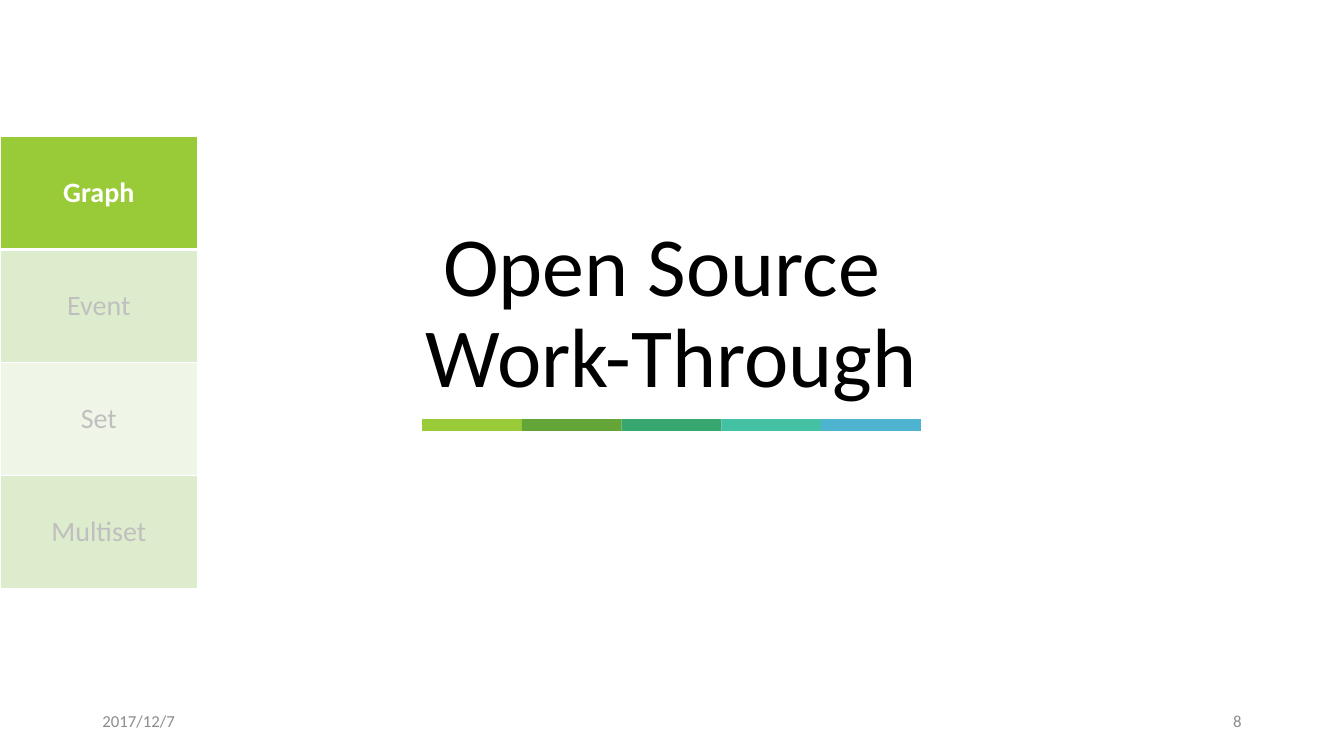
import pptx
import pptx.util
import pptx.dml.color
import pptx.enum.shapes
import pptx.enum.text
import pptx.oxml
import pptx.oxml.ns
from pptx.util import Cm

COLORS = {
    "lime": "99CB38", "green": "63A537", "emerald": "37A76F",
    "teal": "44C1A3", "blue": "4EB3CF", "pale": "DEECCE",
    "paler": "EFF6E8", "white": "FFFFFF", "black": "000000",
    "muted": "BFBFBF", "gray": "8C8C8C",
}
ALIGN = pptx.enum.text.PP_ALIGN
ANCHOR = pptx.enum.text.MSO_ANCHOR


def rgb(name):
    return pptx.dml.color.RGBColor.from_string(COLORS[name])


def style(p, size, color, align, bold=False):
    p.alignment = align
    p.font.name = "Calibri"
    p.font.size = pptx.util.Pt(size)
    p.font.bold = bold
    p.font.color.rgb = rgb(color)


def add_title(s, x, y, w, h):
    sp = s.shapes.title
    sp.left, sp.top, sp.width, sp.height = x, y, w, h
    tf = sp.text_frame
    tf.word_wrap = True
    tf.auto_size = pptx.enum.text.MSO_AUTO_SIZE.NONE
    tf.vertical_anchor = ANCHOR.BOTTOM
    tf.margin_bottom = Cm(2.45)
    tf.text = "Open Source \vWork-Through"
    p = tf.paragraphs[0]
    style(p, 60, "black", ALIGN.CENTER)
    p.line_spacing = 0.9


def add_color_bar(s, x, y, w, h):
    names = ["lime", "green", "emerald", "teal", "blue"]
    grp = s.shapes.add_group_shape()
    step = w / len(names)
    for i, name in enumerate(names):
        sp = grp.shapes.add_shape(
            pptx.enum.shapes.MSO_SHAPE.RECTANGLE,
            round(x + i * step), y, round(step), h)
        sp.shadow.inherit = False
        sp.fill.solid()
        sp.fill.fore_color.rgb = rgb(name)
        sp.line.fill.background()


def set_borders(cell, widths):
    tcPr = cell._tc.get_or_add_tcPr()
    for i, (side, width) in enumerate(widths.items()):
        ln = pptx.oxml.parse_xml(
            f'<a:{side} {pptx.oxml.ns.nsdecls("a")} w="{width * 12700}">'
            f'<a:solidFill><a:srgbClr val="{COLORS["white"]}"/></a:solidFill>'
            f'</a:{side}>')
        tcPr.insert(i, ln)


def add_topics(s, x, y, w, h):
    topics = [("Graph", "lime"), ("Event", "pale"),
              ("Set", "paler"), ("Multiset", "pale")]
    table = s.shapes.add_table(len(topics), 1, x, y, w, h).table
    table.horz_banding = False
    for i, (topic, fill) in enumerate(topics):
        active = i == 0
        cell = table.cell(i, 0)
        cell.text = topic
        cell.vertical_anchor = ANCHOR.MIDDLE
        cell.fill.solid()
        cell.fill.fore_color.rgb = rgb(fill)
        style(cell.text_frame.paragraphs[0], 20,
              "white" if active else "muted", ALIGN.CENTER, active)
        set_borders(cell, {"lnL": 1, "lnR": 1, "lnT": 3 if i == 1 else 1,
                           "lnB": 3 if active else 1})


def add_footer(s, x, y, w, h):
    box_w = Cm(7.62)
    for text, left, align in [("2017/12/7", x, ALIGN.LEFT),
                              ("8", x + w - box_w, ALIGN.RIGHT)]:
        tf = s.shapes.add_textbox(left, y, box_w, h).text_frame
        tf.word_wrap = True
        tf.vertical_anchor = ANCHOR.MIDDLE
        tf.text = text
        style(tf.paragraphs[0], 12, "gray", align)


def main():
    prs = pptx.Presentation()
    prs.slide_width, prs.slide_height = Cm(33.87), Cm(19.05)
    s = prs.slides.add_slide(prs.slide_layouts[5])
    add_title(s, Cm(2.31), Cm(4.75), Cm(29.21), Cm(7.92))
    add_color_bar(s, Cm(10.64), Cm(10.56), Cm(12.57), Cm(0.3))
    add_topics(s, Cm(0), Cm(3.44), Cm(4.98), Cm(11.4))
    add_footer(s, Cm(2.33), Cm(17.65), Cm(29.21), Cm(1.02))
    prs.save("out.pptx")


if __name__ == "__main__":
    main()
